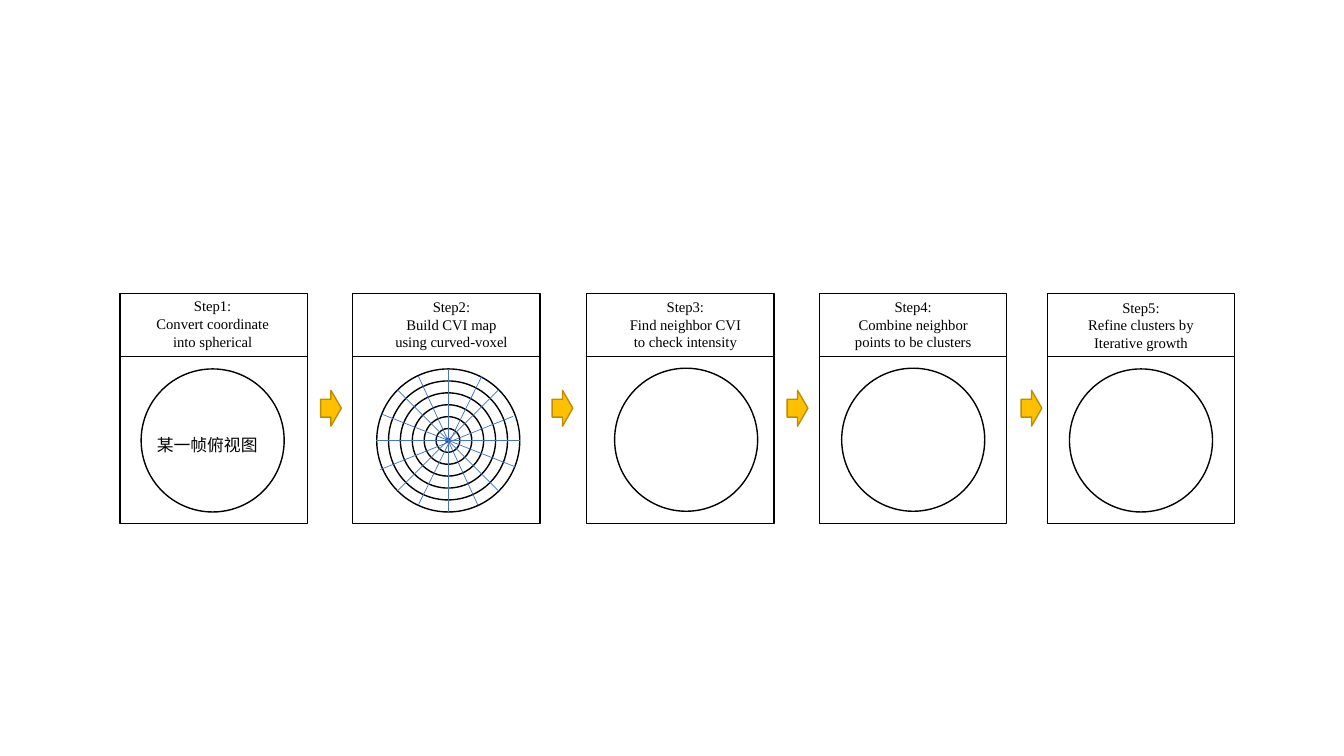
import math

import pptx
import pptx.util
import pptx.dml.color
import pptx.enum.shapes
import pptx.enum.text
import pptx.oxml.ns
from lxml import etree

Pt = pptx.util.Pt
Shape = pptx.enum.shapes.MSO_SHAPE
Align = pptx.enum.text.PP_ALIGN

COLORS = {"ink": "000000", "paper": "FFFFFF", "arrow": "FFC000",
          "arrow_edge": "BD8E00", "spoke": "4472C4", "center": "FF0000"}
LATIN, CJK = "Times New Roman", "Noto Sans CJK SC"

# heading, caption, frame left, circle (left, top), heading box (left, top)
STEPS = [
    ("Step1:", "Convert coordinate into spherical", 85.7, (100.8, 263.5), (100.8, 208.8)),
    ("Step2:", "Build CVI map using curved-voxel", 252, (269.1, 263.5), (271.4, 209.3)),
    ("Step3:", "Find neighbor CVI to check intensity", 419, (439, 263), (438.5, 209.3)),
    ("Step4:", "Combine neighbor points to be clusters", 585.4, (601.2, 263), (601.2, 209.3)),
    ("Step5:", "Refine clusters by Iterative growth", 748.1, (763.9, 263.5), (763.9, 209.6)),
]
TOP_VIEW_LABEL = "某一帧俯视图"
ARROW_LEFTS = [229, 394.4, 562.3, 729.4]

FRAME_TOP, FRAME_WIDTH, FRAME_HEIGHT = 209.5, 133.8, 164.7
DIVIDER_Y = 254.4
CIRCLE = 102.2
HEADING_HEIGHT = 45.4

MAP_X, MAP_Y = 320, 314.6
RING_STEP, RING_COUNT = 17, 5
CHORDS = [(271.4, 335.5, 366.5, 297.4), (344.2, 268.6, 298.8, 360.7),
          (298.8, 268.6, 341.3, 360.7), (272.9, 295.9, 367.9, 333.4)]


def rgb(name):
    return pptx.dml.color.RGBColor.from_string(COLORS[name])


def add_figure(preset, left, top, width, height, fill=None, edge="ink"):
    figure = slide.shapes.add_shape(preset, Pt(left), Pt(top), Pt(width), Pt(height))
    figure.shadow.inherit = False
    if fill:
        figure.fill.solid()
        figure.fill.fore_color.rgb = rgb(fill)
    else:
        figure.fill.background()
    figure.line.color.rgb = rgb(edge)
    figure.line.width = Pt(1)


def add_centered_circle(diameter, fill):
    add_figure(Shape.OVAL, MAP_X - diameter / 2, MAP_Y - diameter / 2,
               diameter, diameter, fill)


def add_rule(x1, y1, x2, y2, color):
    rule = slide.shapes.add_connector(pptx.enum.shapes.MSO_CONNECTOR.STRAIGHT,
                                      Pt(x1), Pt(y1), Pt(x2), Pt(y2))
    rule.line.color.rgb = rgb(color)
    rule.line.width = Pt(0.5)
    etree.SubElement(rule._element.spPr, pptx.oxml.ns.qn("a:effectLst"))


def add_label(lines, left, top, width, height, size, font_name, align):
    box = slide.shapes.add_textbox(Pt(left), Pt(top), Pt(width), Pt(height))
    frame = box.text_frame
    frame.word_wrap = True
    frame.auto_size = pptx.enum.text.MSO_AUTO_SIZE.SHAPE_TO_FIT_TEXT
    frame.text = "\n".join(lines)
    for paragraph in frame.paragraphs:
        paragraph.alignment = align
        font = paragraph.font
        font.size = Pt(size)
        font.name = font_name
        font.color.rgb = rgb("ink")
        east_asian = etree.SubElement(font._element, pptx.oxml.ns.qn("a:ea"))
        east_asian.set("typeface", font_name)


def add_curved_voxel_map():
    for ring in range(RING_COUNT, 0, -1):
        add_centered_circle(ring * RING_STEP, "paper")
    add_centered_circle(2.9, "center")
    for spoke in range(8):
        angle = spoke * math.pi / 4
        add_rule(MAP_X, MAP_Y, MAP_X + CIRCLE / 2 * math.cos(angle),
                 MAP_Y + CIRCLE / 2 * math.sin(angle), "spoke")
    for chord in CHORDS:
        add_rule(*chord, "spoke")


deck = pptx.Presentation()
deck.slide_width, deck.slide_height = Pt(960), Pt(540)
slide = deck.slides.add_slide(deck.slide_layouts[6])

for heading, caption, left, circle_at, heading_at in STEPS:
    add_figure(Shape.RECTANGLE, left, FRAME_TOP, FRAME_WIDTH, FRAME_HEIGHT)
    add_rule(left, DIVIDER_Y, left + FRAME_WIDTH, DIVIDER_Y, "ink")
    add_figure(Shape.OVAL, *circle_at, CIRCLE, CIRCLE, "paper")
    add_label([heading, caption], *heading_at, CIRCLE, HEADING_HEIGHT,
              10.5, LATIN, Align.CENTER)

for left in ARROW_LEFTS:
    add_figure(Shape.RIGHT_ARROW, left, 278.8, 14.8, 25.6, "arrow", "arrow_edge")

add_curved_voxel_map()
add_label([TOP_VIEW_LABEL], 105, 306.7, 93.6, 21.8, 12, CJK, Align.LEFT)

deck.save("out.pptx")
